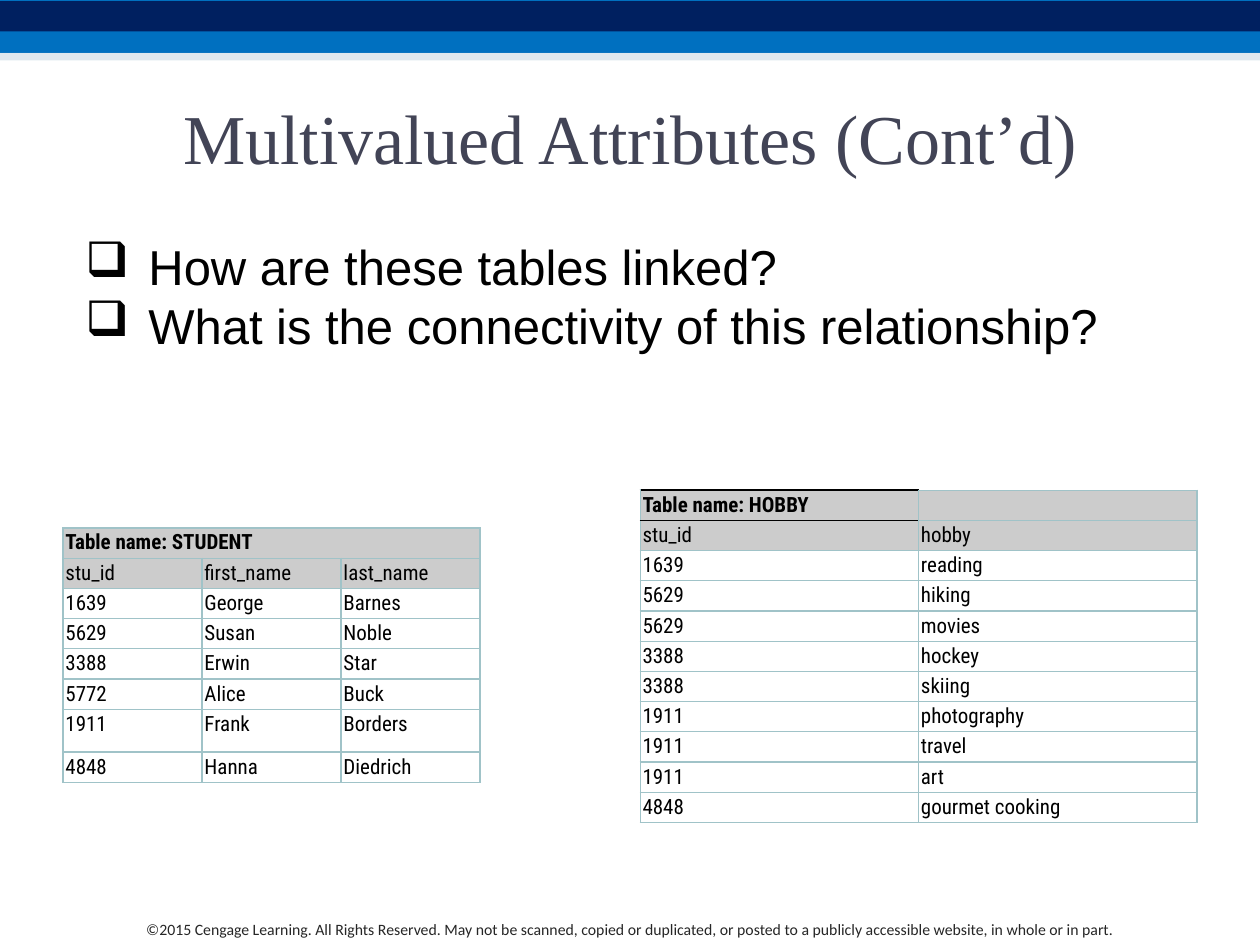
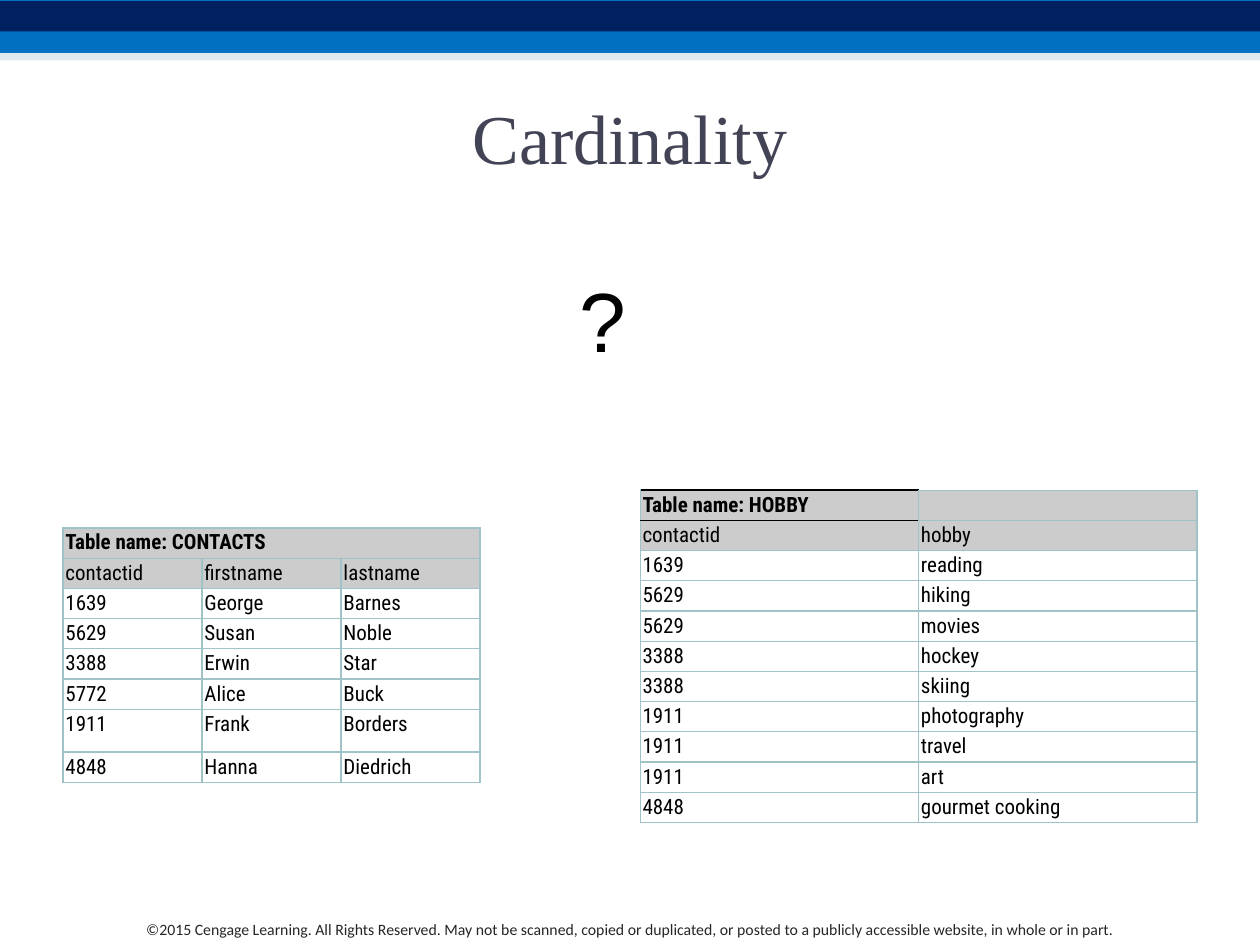
"""Build two slides that pair a people table with a hobby table."""
from lxml import etree
from pptx import Presentation
from pptx import util as u
from pptx.dml.color import RGBColor
from pptx.enum import shapes, text
from pptx.oxml import ns


def hue(code):
    return RGBColor.from_string(code)


def box(slide, place, lines, size, face, code, align=None, wrap=True, mark=None):
    frame = slide.shapes.add_textbox(*map(u.Inches, place)).text_frame
    frame.word_wrap = wrap
    frame.text = "\n".join(lines)
    for para in frame.paragraphs:
        if mark:
            props = para._p.get_or_add_pPr()
            props.set("marL", str(u.Inches(0.5)))
            props.set("indent", str(u.Inches(-0.5)))
            etree.SubElement(props, ns.qn("a:buChar"), char=mark)
        para.alignment = align
        para.font.size = u.Pt(size)
        para.font.name = face
        para.font.color.rgb = hue(code)
    return frame


INK, GRAY, WHITE, TEAL = "000000", "CCCCCC", "FFFFFF", "A0C3C8"
MID = text.PP_ALIGN.CENTER
BANDS = [(0, 0.42, "0070C0"), (0.01, 0.24, "002060"), (0.42, 0.06, "BED3E1")]
NOTICE = ("©2015 Cengage Learning. All Rights Reserved. May not be scanned, copied or "
          "duplicated, or posted to a publicly accessible website, in whole or in part.")
PEOPLE = [("1639", "George", "Barnes"), ("5629", "Susan", "Noble"),
          ("3388", "Erwin", "Star"), ("5772", "Alice", "Buck"),
          ("1911", "Frank", "Borders"), ("4848", "Hanna", "Diedrich")]
HOBBIES = [("1639", "reading"), ("5629", "hiking"), ("5629", "movies"),
           ("3388", "hockey"), ("3388", "skiing"), ("1911", "photography"),
           ("1911", "travel"), ("1911", "art"), ("4848", "gourmet cooking")]
ASKS = ["How are these tables linked?",
        "What is the connectivity of this relationship?"]
SLIDES = [
    ("Multivalued Attributes (Cont’d)", "STUDENT", ("stu_id", "first_name", "last_name"),
     ((0.58, 1.83, 8.33, 1.04), ASKS, 28, "❑")),
    ("Cardinality", "CONTACTS", ("contactid", "firstname", "lastname"),
     ((4.5, 2.08, 0.58, 0.91), ["?"], 48, None)),
]

deck = Presentation()
deck.slide_width, deck.slide_height = u.Inches(10), u.Inches(7.5)

for title, name, heads, (place, lines, size, mark) in SLIDES:
    slide = deck.slides.add_slide(deck.slide_layouts[6])
    for top, high, code in BANDS:
        band = slide.shapes.add_shape(shapes.MSO_SHAPE.RECTANGLE, 0, u.Inches(top),
                                      deck.slide_width, u.Inches(high))
        band.shadow.inherit = False
        band.line.fill.background()
        band.fill.solid()
        band.fill.fore_color.rgb = hue(code)
    tint = band._element.spPr.find(".//" + ns.qn("a:srgbClr"))
    etree.SubElement(tint, ns.qn("a:alpha"), val="50000")

    box(slide, (0.58, 7.25, 8.83, 0.25), [NOTICE], 9, "Calibri", "262626", MID)
    head = box(slide, (0.5, 0.5, 9, 1.17), [title], 40, "Times New Roman", "424456", MID)
    head.vertical_anchor = text.MSO_ANCHOR.MIDDLE

    hobby = [("Table name: HOBBY", ""), (heads[0], "hobby"), *HOBBIES]
    people = [(f"Table name: {name}", "", ""), heads, *PEOPLE]
    for left, top, wide, rows in [(0.5, 4.19, 3.31, people), (5.08, 3.89, 4.42, hobby)]:
        cols = len(rows[0])
        grid = slide.shapes.add_table(len(rows), cols, u.Inches(left), u.Inches(top),
                                      u.Inches(wide), u.Inches(0.19 * len(rows))).table
        for r, row in enumerate(rows):
            grid.rows[r].height = u.Inches(0.34 if row[0] == "1911" and cols == 3 else 0.19)
            for c, word in enumerate(row):
                cell = grid.cell(r, c)
                cell.margin_left = cell.margin_right = u.Inches(0.02)
                cell.margin_top = cell.margin_bottom = u.Inches(0.02)
                cell.text = word
                para = cell.text_frame.paragraphs[0]
                para.font.size = u.Pt(12)
                para.font.name = "Roboto Condensed"
                para.font.bold = r == 0
                para.font.color.rgb = hue(INK)
                if not word:
                    para._p.get_or_add_endParaRPr().set("sz", "1200")
                props = cell._tc.get_or_add_tcPr()
                for side in "LRTB":
                    dark = cols == 2 and c == 0 and (r, side) in [(0, "T"), (0, "B"), (1, "T")]
                    edge = etree.SubElement(props, ns.qn(f"a:ln{side}"),
                                            w=str(u.Pt(1 if dark else 0.75)))
                    paint = etree.SubElement(edge, ns.qn("a:solidFill"))
                    etree.SubElement(paint, ns.qn("a:srgbClr"), val=INK if dark else TEAL)
                cell.fill.solid()
                cell.fill.fore_color.rgb = hue(GRAY if r < 2 else WHITE)
        if cols == 3:
            grid.cell(0, 0).merge(grid.cell(0, 2))

    body = box(slide, place, lines, size, "Arial", INK, wrap=False, mark=mark)
    body.auto_size = text.MSO_AUTO_SIZE.SHAPE_TO_FIT_TEXT

deck.save("out.pptx")
